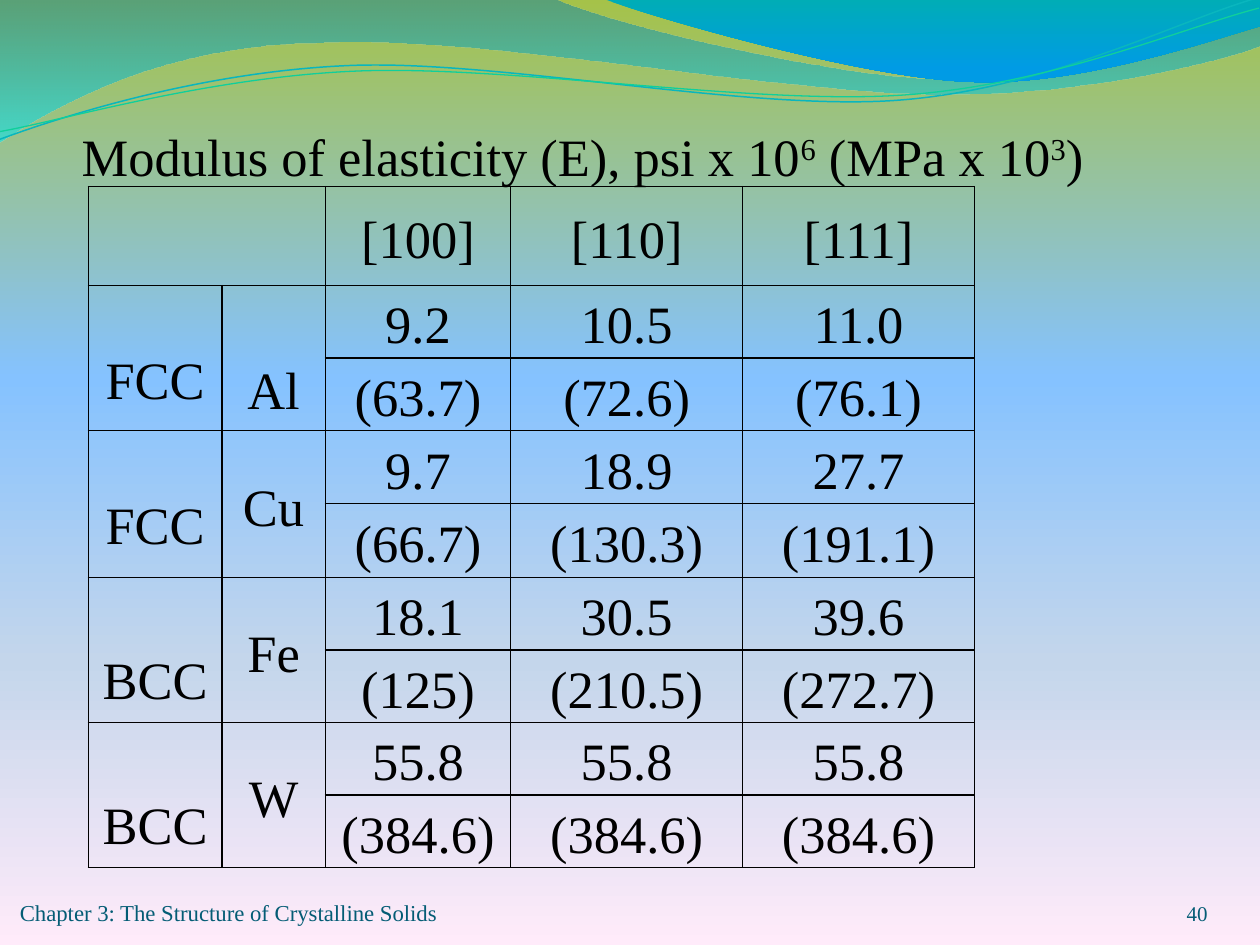
from math import cos, radians, sin
from lxml.etree import SubElement
from pptx import Presentation
from pptx.dml.color import RGBColor
from pptx.enum.text import MSO_ANCHOR, MSO_AUTO_SIZE, PP_ALIGN
from pptx.oxml.ns import qn
from pptx.util import Pt

LEFT, MID, RIGHT = PP_ALIGN.LEFT, PP_ALIGN.CENTER, PP_ALIGN.RIGHT
TOP, CENTER, BASE = MSO_ANCHOR.TOP, MSO_ANCHOR.MIDDLE, MSO_ANCHOR.BOTTOM
FIXED = MSO_AUTO_SIZE.NONE
BLACK = RGBColor(0x00, 0x00, 0x00)
NAVY = RGBColor(0x04, 0x5C, 0x75)
TEAL = RGBColor(0x09, 0xB6, 0xBE)
GREEN = RGBColor(0x10, 0xCF, 0x9B)
FONT = "Times New Roman"
TILT = 2.7

SKY = [(0, "A5C249", 100), (40, "85C2FF", 100),
       (70, "C4D6EB", 100), (100, "FFEBFA", 100)]
BANDS = [
    ([(0, -0.7), (316.8, -0.7), (342.7, 12.2, 478.1, 45.4, 545.8, 45.4),
      (614.2, 45.4, 689.8, 26.6, 720, 6.5), (720.7, 25.9),
      (707.8, 31.7, 626.4, 54.7, 537.1, 54),
      (447.8, 54, 275, 20.2, 185, 24.5), (92.9, 25.2, 33.1, 59.8, -0.7, 81.4)],
     [(0, "0079AF", 45), (100, "00EBF8", 55)]),
    ([(344.9, -0.7), (366.5, 7.9, 491, 44.6, 553.7, 46.8),
      (616.3, 49.7, 691.9, 23, 720, 15.1), (720, 0)],
     [(0, "00ADB6", 100), (80, "009BE5", 100), (100, "009BE5", 100)]),
]
WAVES = [
    ([(0, 79.9), (34.6, 67, 113.8, 41, 199.4, 37.4),
      (284.4, 33.8, 427, 64.1, 513.4, 57.6),
      (599.8, 51.1, 675.4, 10.8, 718.6, -1.4)],
     (-1.4, 15.8, 721.4, 51.1), TEAL, 0.85),
    ([(0, 74.9), (33.8, 69.1, 118.1, 43.9, 203.8, 40.3),
      (290.2, 36.7, 429.8, 59.8, 516.2, 54),
      (601.9, 48.2, 677.5, 15.1, 720, 4.3)],
     (-1.4, 21.6, 722.2, 41.8), GREEN, 0.75),
]
TITLE = [("Modulus of elasticity (E), psi x 10", 0), ("6", 30),
         (" (MPa x 10", 0), ("3", 30), (")", 0)]
NOTES = [
    ("Chapter 3: The Structure of Crystalline Solids",
     (11.3, 500, 286.5, 29), 13, LEFT),
    ("40", (630, 500, 60, 29), 12, RIGHT),
]
HEADS = ["[100]", "[110]", "[111]"]
METALS = [
    ("FCC", 33.5, "Al", 33.5, ["9.2", "10.5", "11.0"],
     ["(63.7)", "(72.6)", "(76.1)"]),
    ("FCC", 33.5, "Cu", 0, ["9.7", "18.9", "27.7"],
     ["(66.7)", "(130.3)", "(191.1)"]),
    ("BCC", 38.3, "Fe", 0, ["18.1", "30.5", "39.6"],
     ["(125)", "(210.5)", "(272.7)"]),
    ("BCC", 38.3, "W", 0, ["55.8", "55.8", "55.8"],
     ["(384.6)", "(384.6)", "(384.6)"]),
]
COLS = [76.3, 59.1, 106, 132.5, 132.5]
ROWS = [56.5, 41.2, 41.2, 41.6, 42.4, 41.2, 41.2, 41.6, 41.2]


def style(item, **vals):
    for key, val in vals.items():
        setattr(item, key, val)


def margins(x, y):
    return dict(margin_left=Pt(x), margin_right=Pt(x),
                margin_top=Pt(y), margin_bottom=Pt(y))


def write(para, text, size, color):
    run = para.add_run()
    run.text = text
    style(run.font, name=FONT, size=Pt(size), bold=False)
    run.font.color.rgb = color
    return run


def paint(fill, root, stops):
    fill.gradient()
    fill.gradient_angle = 270
    ramp = root.find(".//" + qn("a:gsLst"))
    for old in list(ramp):
        ramp.remove(old)
    for pos, color, alpha in stops:
        stop = SubElement(ramp, qn("a:gs"), pos=str(pos * 1000))
        tint = SubElement(stop, qn("a:srgbClr"), val=color)
        if alpha < 100:
            SubElement(tint, qn("a:alpha"), val=str(alpha * 1000))


def turn(part, mid, angle):
    c, s = cos(radians(angle)), sin(radians(angle))
    spun = []
    for x, y in zip(part[::2], part[1::2]):
        x, y = x - mid[0], y - mid[1]
        spun += [mid[0] + x * c - y * s, mid[1] + x * s + y * c]
    return spun


def draw(shapes, parts, close):
    dots = [(Pt(x), Pt(y)) for part in parts
            for x, y in zip(part[::2], part[1::2])]
    pen = shapes.build_freeform(*dots[0], scale=1.0)
    pen.add_line_segments(dots[1:], close=close)
    shape = pen.convert_to_shape()
    shape.shadow.inherit = False
    lines = iter(shape._element.findall(".//" + qn("a:lnTo")))
    for part in parts[1:]:
        first = next(lines)
        if len(part) == 2:
            continue
        curve = first.makeelement(qn("a:cubicBezTo"), {})
        first.addprevious(curve)
        for line in (first, next(lines), next(lines)):
            curve.append(line[0])
            line.getparent().remove(line)
    return shape


def border(cell):
    props = cell._tc.get_or_add_tcPr()
    for i, side in enumerate(("lnL", "lnR", "lnT", "lnB")):
        line = props.makeelement(qn("a:" + side), {"w": str(Pt(1))})
        solid = SubElement(line, qn("a:solidFill"))
        SubElement(solid, qn("a:srgbClr"), val=str(BLACK))
        props.insert(i, line)


def put(cell, text, drop=0, anchor=CENTER):
    style(cell, vertical_anchor=anchor, margin_top=Pt(drop))
    para = cell.text_frame.paragraphs[0]
    style(para, alignment=MID, line_spacing=1.15)
    write(para, text, 30, BLACK)


def add_grid(shapes):
    grid = shapes.add_table(len(ROWS), len(COLS), Pt(50.5), Pt(106.7),
                            Pt(sum(COLS)), Pt(sum(ROWS))).table
    style(grid, first_row=False, horz_banding=False)
    for col, width in zip(grid.columns, COLS):
        col.width = Pt(width)
    for row, height in zip(grid.rows, ROWS):
        row.height = Pt(height)
    for cell in grid.iter_cells():
        style(cell, **margins(4.5, 0))
        cell.fill.background()
        border(cell)
    grid.cell(0, 0).merge(grid.cell(0, 1))
    lines = [HEADS]
    for i, (kind, drop, name, sink, psi, mpa) in enumerate(METALS):
        top = 1 + 2 * i
        for c in (0, 1):
            grid.cell(top, c).merge(grid.cell(top + 1, c))
        put(grid.cell(top, 0), kind, drop, TOP)
        put(grid.cell(top, 1), name, sink)
        lines += [psi, mpa]
    for r, line in enumerate(lines):
        for c, text in enumerate(line, 2):
            put(grid.cell(r, c), text)


def main():
    deck = Presentation()
    style(deck, slide_width=Pt(720), slide_height=Pt(540))
    slide = deck.slides.add_slide(deck.slide_layouts[5])
    shapes = slide.shapes
    paint(slide.background.fill, slide._element, SKY)

    for parts, stops in BANDS:
        band = draw(shapes, parts, True)
        paint(band.fill, band._element, stops)
        band.line.fill.background()
    for parts, (x, y, w, h), color, width in WAVES:
        mid = x + w / 2, y + h / 2
        wave = draw(shapes, [turn(part, mid, TILT) for part in parts], False)
        style(wave, left=Pt(x), top=Pt(y), width=Pt(w), height=Pt(h),
              rotation=-TILT)
        wave.fill.background()
        wave.line.color.rgb = color
        wave.line.width = Pt(width)

    for text, area, size, align in NOTES:
        frame = shapes.add_textbox(*map(Pt, area)).text_frame
        style(frame, word_wrap=True, vertical_anchor=BASE, **margins(0, 0))
        frame.paragraphs[0].alignment = align
        write(frame.paragraphs[0], text, size, NAVY)

    add_grid(shapes)

    title = shapes.title
    style(title, left=Pt(39.5), top=Pt(67.2), width=Pt(636), height=Pt(44))
    frame = title.text_frame
    style(frame, word_wrap=True, auto_size=FIXED, vertical_anchor=TOP,
          **margins(7.2, 3.6))
    para = frame.paragraphs[0]
    para.alignment = LEFT
    for text, lift in TITLE:
        run = write(para, text, 30, BLACK)
        if lift:
            run.font._element.set("baseline", str(lift * 1000))

    deck.save("out.pptx")


if __name__ == "__main__":
    main()
